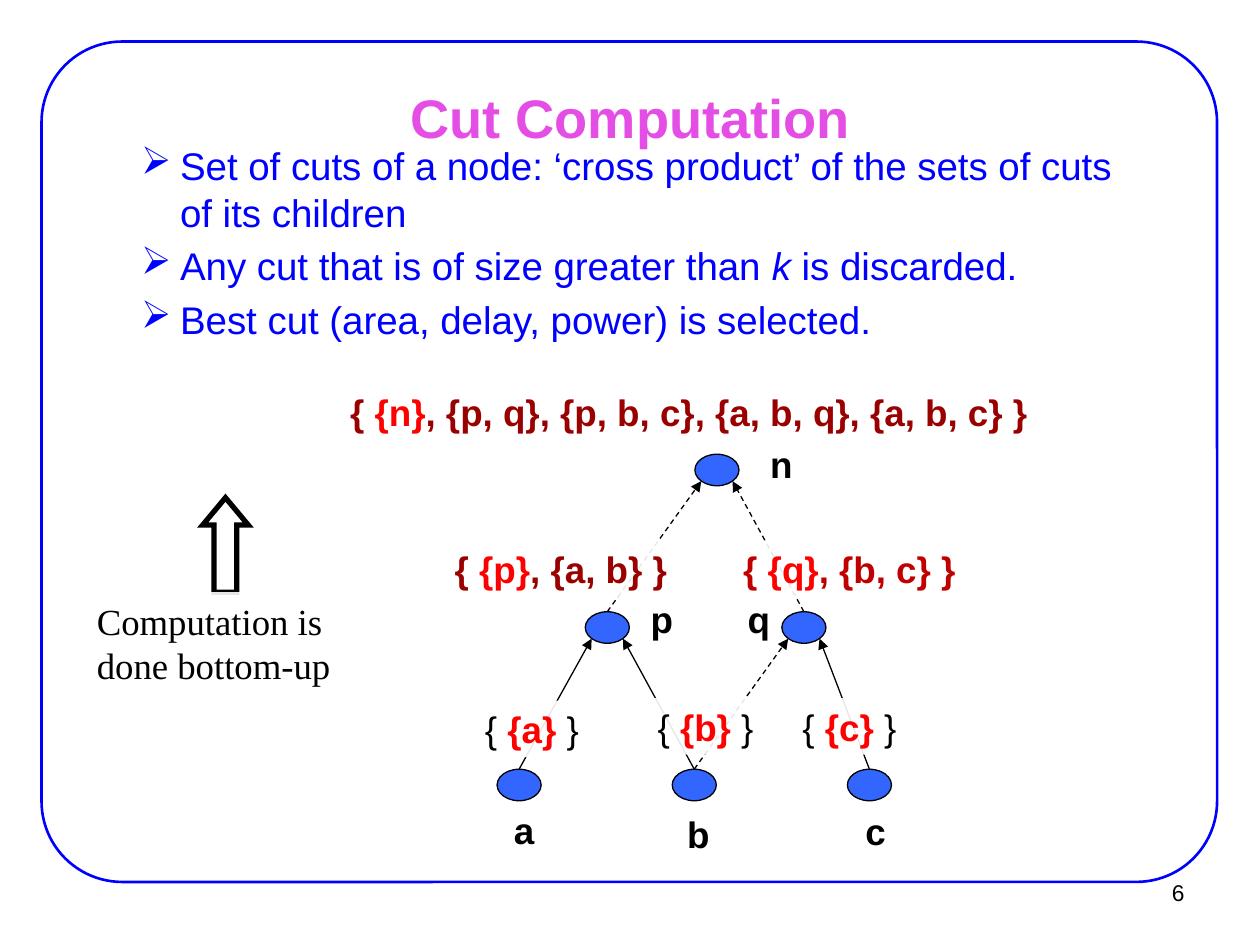
import pptx
import pptx.dml.color
import pptx.enum.dml
import pptx.enum.shapes
import pptx.enum.text
import pptx.oxml
import pptx.oxml.ns
import pptx.util

COLUMNS, ROWS = 10, 7.5
NODE_WIDTH, NODE_HEIGHT = 0.35, 0.25
LEAF_LEFT, LEAF_GAP = 4.12, 1.39
TOP_ROW, ROW_GAP = 3.73, 1.25
DIAGONAL = 0.71
BLACK, RED, MAROON, BLUE = "000000", "FF0000", "990000", "0000FF"
ALIGN = pptx.enum.text.PP_ALIGN
ANCHOR = pptx.enum.text.MSO_ANCHOR
SHAPE = pptx.enum.shapes.MSO_SHAPE

NODES = {
    "a": (LEAF_LEFT, 2),
    "b": (LEAF_LEFT + LEAF_GAP, 2),
    "c": (LEAF_LEFT + 2 * LEAF_GAP, 2),
    "p": (4.82, 1),
    "q": (6.38, 1),
    "n": (5.69, 0),
}
EDGES = [
    ("a", "p", -1, False),
    ("b", "p", 1, False),
    ("b", "q", -1, True),
    ("c", "q", 1, False),
    ("p", "n", -1, True),
    ("q", "n", 1, True),
]
NODE_NAMES = {
    "a": (3.97, 6.36, 0.37, 0.45),
    "b": (5.35, 6.39, 0.38, 0.45),
    "c": (6.76, 6.37, 0.37, 0.45),
    "p": (5.06, 4.69, 0.38, 0.45),
    "q": (5.83, 4.69, 0.38, 0.45),
    "n": (6.01, 3.46, 0.38, 0.45),
}
CUT_SETS = [
    ("p", ", {a, b} }", MAROON, True, (3.51, 4.29, 1.91, 0.45)),
    ("q", ", {b, c} }", "C00000", True, (5.8, 4.29, 1.91, 0.45)),
    ("a", " }", BLACK, False, (3.75, 5.56, 0.95, 0.45)),
    ("b", " }", BLACK, False, (5.12, 5.54, 0.98, 0.45)),
    ("c", " }", BLACK, False, (6.27, 5.54, 0.95, 0.45)),
    ("n", ", {p, q}, {p, b, c}, {a, b, q}, {a, b, c} }", MAROON, True,
     (2.68, 3.04, 6.02, 0.45)),
]
POINTS = [
    [("Set of cuts of a node: ‘cross product’ of the sets of cuts of its children", {})],
    [("Any cut that is of size greater than ", {}), ("k ", {"italic": True}),
     ("is discarded.", {})],
    [("Best cut (area, delay, power) is selected.", {})],
]


def cells(*counts):
    """Turn counts of one-inch grid cells into lengths."""
    return [pptx.util.Inches(count) for count in counts]


def colour(hex_string):
    """Give the colour of a hex string."""
    return pptx.dml.color.RGBColor.from_string(hex_string)


def apply(target, values):
    """Set each attribute of the target from a dict of values."""
    for name, value in values.items():
        setattr(target, name, value)


def add_xml(parent, tag, **attributes):
    """Append a drawing element with its attributes."""
    element = pptx.oxml.parse_xml(f"<a:{tag} {pptx.oxml.ns.nsdecls('a')}/>")
    for name, value in attributes.items():
        element.set(name, value)
    parent.append(element)
    return element


def write(paragraph, runs, size, ink, font="Arial", **values):
    """Write formatted runs into a paragraph."""
    for words, changes in runs:
        changes = dict(changes)
        run = paragraph.add_run()
        run.text = words
        run.font.color.rgb = colour(changes.pop("ink", ink))
        apply(run.font, {"name": font, "size": pptx.util.Pt(size), **values, **changes})


def add_text(slide, place, runs, size=21, ink=BLACK, align=ALIGN.LEFT, wrap=False,
             veiled=False, **values):
    """Add a one-paragraph text box, on a veil of white if asked."""
    box = slide.shapes.add_textbox(*cells(*place))
    box.text_frame.word_wrap = wrap
    box.text_frame.paragraphs[0].alignment = align
    write(box.text_frame.paragraphs[0], runs, size, ink, **values)
    if veiled:
        box.fill.solid()
        box.fill.fore_color.rgb = colour("FFFFFF")
        for white in box.fill._xPr.iter(pptx.oxml.ns.qn("a:srgbClr")):
            add_xml(white, "alpha", val="90000")
    return box


def add_outline(slide, kind, place, ink, weight, fill=None, adjustments=()):
    """Add a preset shape with a sharp outline and an optional fill."""
    shape = slide.shapes.add_shape(kind, *cells(*place))
    shape.shadow.inherit = False
    for index, value in enumerate(adjustments):
        shape.adjustments[index] = value
    if fill:
        shape.fill.solid()
        shape.fill.fore_color.rgb = colour(fill)
    else:
        shape.fill.background()
    shape.line.color.rgb = colour(ink)
    shape.line.width = pptx.util.Pt(weight)
    add_xml(shape.line._get_or_add_ln(), "miter", lim="800000")


def node_centre(name):
    """Find the centre of a graph node."""
    across, level = NODES[name]
    return across, TOP_ROW + level * ROW_GAP


def add_node(slide, name):
    """Add the ellipse of a graph node."""
    across, down = node_centre(name)
    place = (across - NODE_WIDTH / 2, down - NODE_HEIGHT / 2, NODE_WIDTH, NODE_HEIGHT)
    add_outline(slide, SHAPE.OVAL, place, BLACK, 0.75, fill="3366FF")


def add_edge(slide, child, parent, side, dashed):
    """Add an arrow from a child's top to a lower corner of its parent."""
    start_x, start_y = node_centre(child)
    end_x, end_y = node_centre(parent)
    edge = slide.shapes.add_connector(
        pptx.enum.shapes.MSO_CONNECTOR.STRAIGHT,
        *cells(start_x, start_y - NODE_HEIGHT / 2,
               end_x + side * DIAGONAL * NODE_WIDTH / 2,
               end_y + DIAGONAL * NODE_HEIGHT / 2))
    edge.line.color.rgb = colour(BLACK)
    edge.line.width = pptx.util.Pt(0.75)
    if dashed:
        edge.line.dash_style = pptx.enum.dml.MSO_LINE.DASH
    add_xml(edge.line._get_or_add_ln(), "tailEnd", type="triangle")
    add_xml(edge._element.spPr, "effectLst")


def add_title(slide, words):
    """Place and format the slide title."""
    title = slide.shapes.title
    apply(title, dict(zip(("left", "top", "width", "height"), cells(0.5, 0.3, 9, 1.25))))
    title.text_frame.vertical_anchor = ANCHOR.MIDDLE
    title.text_frame.paragraphs[0].alignment = ALIGN.CENTER
    write(title.text_frame.paragraphs[0], [(words, {})], 31, "E44EE4", bold=True)


def add_points(slide):
    """Add the bulleted points about cuts."""
    frame = slide.shapes.add_textbox(*cells(0.51, 1.07, 8.5, 1.55)).text_frame
    side, end = cells(0.11, 0.06)
    apply(frame, {"word_wrap": True, "margin_left": side, "margin_right": side,
                  "margin_top": end, "margin_bottom": end})
    indent, hang = cells(0.81, -0.31)
    for index, runs in enumerate(POINTS):
        paragraph = frame.add_paragraph() if index else frame.paragraphs[0]
        apply(paragraph, {"level": 1, "space_before": pptx.util.Pt(4.4)})
        write(paragraph, runs, 22, BLUE)
        properties = paragraph._p.get_or_add_pPr()
        properties.set("marL", str(indent))
        properties.set("indent", str(hang))
        add_xml(properties, "buChar", char="➢")


def main():
    """Build the slide on cut computation."""
    deck = pptx.Presentation()
    deck.slide_width, deck.slide_height = cells(COLUMNS, ROWS)
    slide = deck.slides.add_slide(deck.slide_layouts[5])
    add_outline(slide, SHAPE.ROUNDED_RECTANGLE, (0.33, 0.33, 9.33, 6.67), BLUE, 1.5,
                adjustments=[0.096])
    number = add_text(slide, (7.17, 6.83, 2.33, 0.5), [("6", {})], 13, align=ALIGN.RIGHT)
    number.text_frame.vertical_anchor = ANCHOR.MIDDLE
    add_title(slide, "Cut Computation")
    for name in NODES:
        add_node(slide, name)
    for edge in EDGES:
        add_edge(slide, *edge)
    for name, place in NODE_NAMES.items():
        add_text(slide, place, [(name, {})], align=ALIGN.RIGHT, bold=True)
    for name, others, ink, bold, place in CUT_SETS:
        runs = [("{ ", {}), (f"{{{name}}}", {"ink": RED, "bold": True}), (others, {})]
        add_text(slide, place, runs, ink=ink, bold=bold, wrap=name == "n",
                 veiled=name != "n")
    add_outline(slide, SHAPE.UP_ARROW, (1.61, 3.95, 0.36, 0.75), BLACK, 3,
                adjustments=[0.5, 0.6])
    add_text(slide, (0.67, 4.7, 2.29, 0.81), [("Computation is done bottom-up", {})],
             wrap=True, veiled=True, font="Times New Roman")
    add_points(slide)
    deck.save("out.pptx")


if __name__ == "__main__":
    main()
